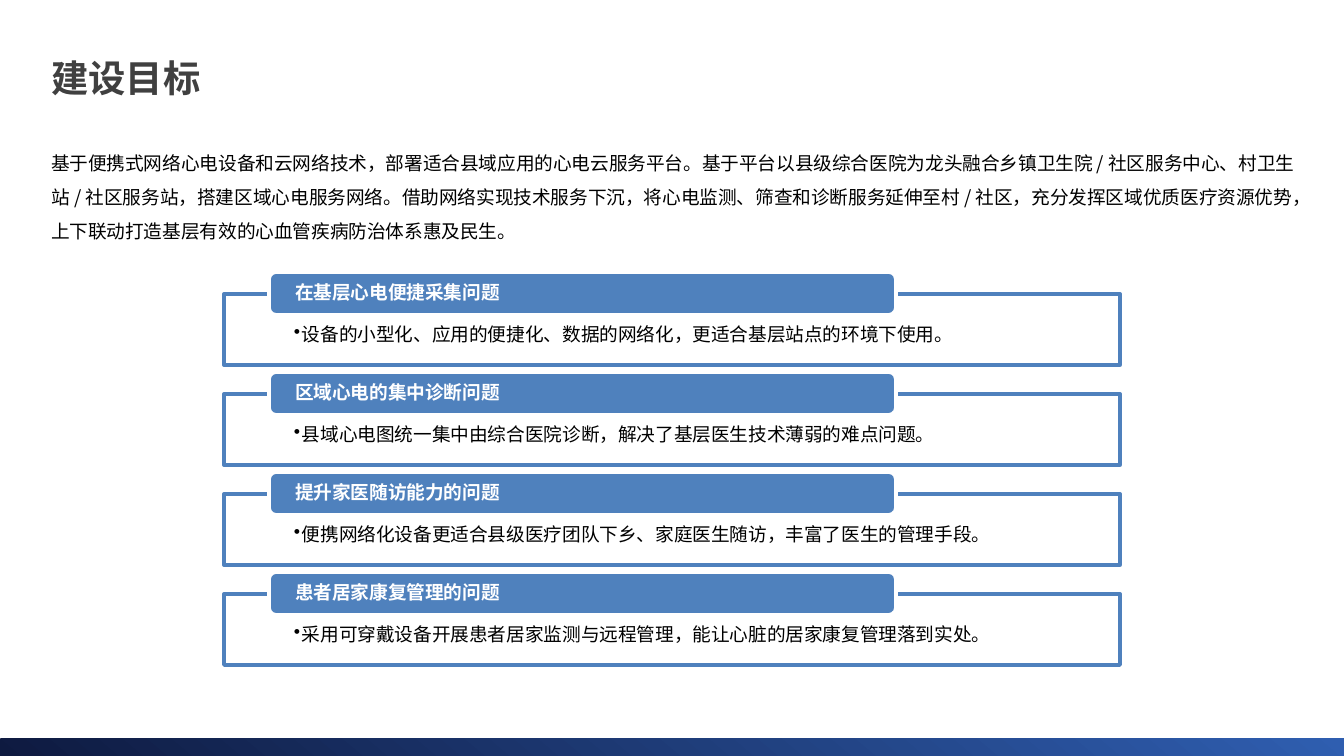
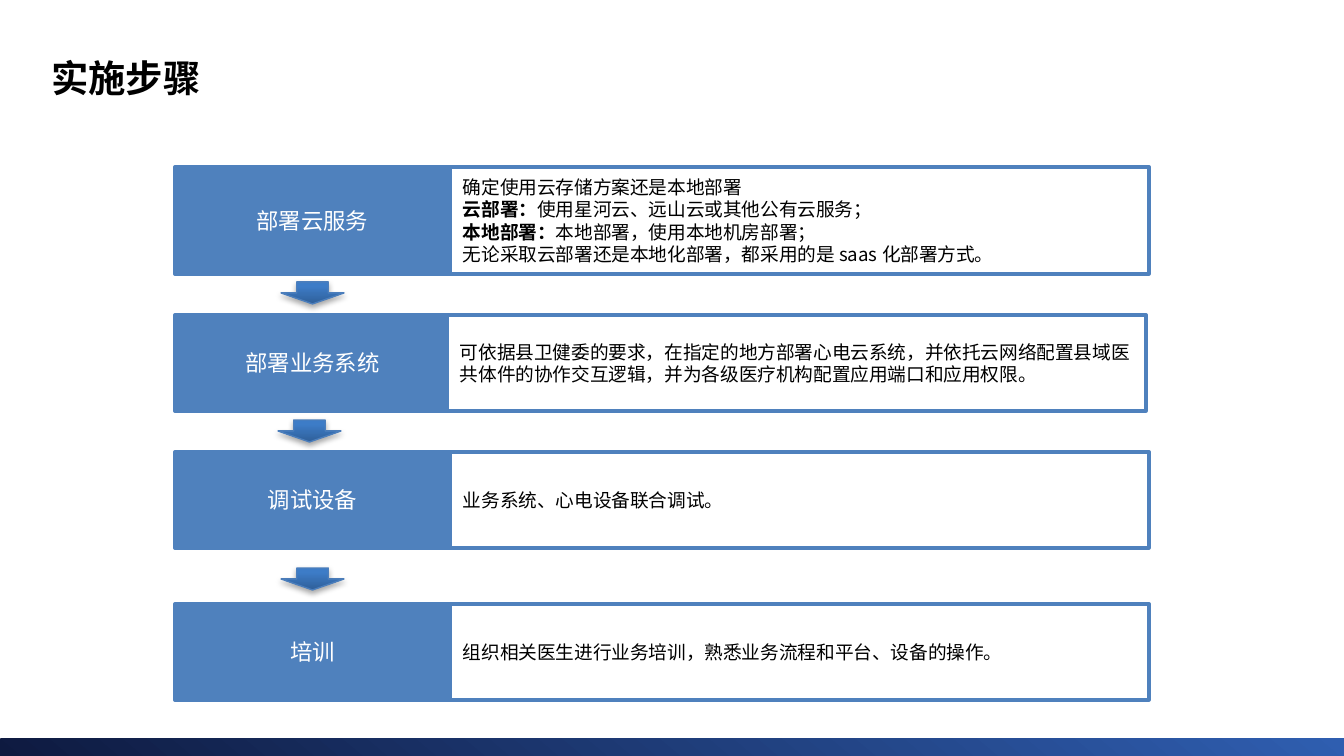
from lxml import etree
from pptx import Presentation
from pptx import util as u
from pptx.dml.color import RGBColor
from pptx.enum import shapes, text
from pptx.oxml import ns

PX = 914400 / 134.4
FONT = "Noto Sans CJK SC"
BLUE, WHITE, BLACK, DARK_GREY = "4F81BD", "FFFFFF", "000000", "404040"
BAND_START, BAND_END = "0E1A40", "2F5EB0"
ARROW_START, ARROW_END, ARROW_LINE = "2F5F99", "3D7CC7", "4B7EBC"

INTRO = (
    "基于便携式网络心电设备和云网络技术，部署适合县域应用的心电云服务平台。"
    "基于平台以县级综合医院为龙头融合乡镇卫生院/社区服务中心、村卫生站/社区服务站，"
    "搭建区域心电服务网络。借助网络实现技术服务下沉，"
    "将心电监测、筛查和诊断服务延伸至村/社区，充分发挥区域优质医疗资源优势，"
    "上下联动打造基层有效的心血管疾病防治体系惠及民生。"
)
GOALS = [
    ("在基层心电便捷采集问题",
     "设备的小型化、应用的便捷化、数据的网络化，更适合基层站点的环境下使用。"),
    ("区域心电的集中诊断问题",
     "县域心电图统一集中由综合医院诊断，解决了基层医生技术薄弱的难点问题。"),
    ("提升家医随访能力的问题",
     "便携网络化设备更适合县级医疗团队下乡、家庭医生随访，丰富了医生的管理手段。"),
    ("患者居家康复管理的问题",
     "采用可穿戴设备开展患者居家监测与远程管理，能让心脏的居家康复管理落到实处。"),
]
# label, top, height, shift of the detail box and arrow, arrow top, detail paragraphs
STEPS = [
    ("部署云服务", 167, 107, 0, 282, [
        "确定使用云存储方案还是本地部署",
        [("云部署：", True), ("使用星河云、远山云或其他公有云服务；", False)],
        [("本地部署：", True), ("本地部署，使用本地机房部署；", False)],
        "无论采取云部署还是本地化部署，都采用的是saas化部署方式。"]),
    ("部署业务系统", 315, 96, -3, 420, [
        "可依据县卫健委的要求，在指定的地方部署心电云系统，并依托云网络配置县域医共体件的"
        "协作交互逻辑，并为各级医疗机构配置应用端口和应用权限。"]),
    ("调试设备", 452, 96, 0, 568, ["业务系统、心电设备联合调试。"]),
    ("培训", 604, 96, 0, None,
     ["组织相关医生进行业务培训，熟悉业务流程和平台、设备的操作。"]),
]


def px(length):
    return u.Emu(round(length * PX))


def colour(value):
    return RGBColor.from_string(value)


def add_child(parent, tag, **attributes):
    child = etree.SubElement(parent, ns.qn(tag))
    for name, value in attributes.items():
        child.set(name, str(value))
    return child


def add_bullet(paragraph, indent):
    paragraph.level = 1
    properties = paragraph._p.get_or_add_pPr()
    properties.set("marL", str(px(indent)))
    properties.set("indent", str(-px(indent)))
    add_child(properties, "a:buChar", char="•")


def write(shape, paragraphs, size=10, ink=BLACK, bold=False, align=text.PP_ALIGN.LEFT,
          anchor=text.MSO_ANCHOR.MIDDLE, spacing=1.0, insets=(13, 7, 13, 7), bullet=0):
    """Fill a shape; a paragraph is a string or a list of (words, bold) runs."""
    frame = shape.text_frame
    frame.word_wrap = True
    frame.auto_size = text.MSO_AUTO_SIZE.NONE
    frame.vertical_anchor = anchor
    (frame.margin_left, frame.margin_top,
     frame.margin_right, frame.margin_bottom) = map(px, insets)
    for index, content in enumerate(paragraphs):
        paragraph = frame.add_paragraph() if index else frame.paragraphs[0]
        if bullet:
            add_bullet(paragraph, bullet)
        paragraph.alignment = align
        paragraph.line_spacing = spacing
        runs = [(content, bold)] if isinstance(content, str) else content
        for words, strong in runs:
            run = paragraph.add_run()
            run.text = words
            font = run.font
            font.size, font.bold, font.name = u.Pt(size), strong, FONT
            font.color.rgb = colour(ink)
            add_child(run._r.get_or_add_rPr(), "a:ea", typeface=FONT)


def add_box(slide, box, fill=None, line=None, width=2,
            kind=shapes.MSO_SHAPE.RECTANGLE):
    shape = slide.shapes.add_shape(kind, *map(px, box))
    shape.shadow.inherit = False
    if fill:
        shape.fill.solid()
        shape.fill.fore_color.rgb = colour(fill)
    if line:
        shape.line.color.rgb = colour(line)
        shape.line.width = u.Pt(width)
    else:
        shape.line.fill.background()
    return shape


def fill_gradient(shape, start, end, angle, end_position=1.0):
    shape.fill.gradient()
    shape.fill.gradient_angle = angle
    stops = shape.fill.gradient_stops
    for stop, value, position in zip(stops, (start, end), (0, end_position)):
        stop.color.rgb = colour(value)
        stop.position = position


def add_arrow(slide, left, top):
    arrow = add_box(slide, (left, top, 63, 22), line=ARROW_LINE, width=0.75,
                    kind=shapes.MSO_SHAPE.DOWN_ARROW)
    fill_gradient(arrow, ARROW_START, ARROW_END, 90, 0.8)
    effects = arrow.element.spPr.find(ns.qn("a:effectLst"))
    shadow = add_child(effects, "a:outerShdw", blurRad=u.Pt(3.1), dist=u.Pt(1.8),
                       dir=5400000, rotWithShape=0)
    add_child(add_child(shadow, "a:srgbClr", val=BLACK), "a:alpha", val=35000)


def add_slide(deck, title, ink):
    slide = deck.slides.add_slide(deck.slide_layouts[5])
    heading = slide.shapes.title
    heading.left, heading.top, heading.width, heading.height = map(px, (38, 1, 984, 106))
    write(heading, [title], size=20, ink=ink, bold=True, anchor=text.MSO_ANCHOR.BOTTOM)
    return slide


def move_band_to_master(deck, slide):
    """Draw the footer band, then let every slide inherit it from the master."""
    band = add_box(slide, (0, 739, 1344, 20))
    fill_gradient(band, BAND_START, BAND_END, 50)
    deck.slide_master.shapes.element.insert(2, band.element)


def add_goal(slide, top, name, detail):
    frame = add_box(slide, (224, top, 896, 71), WHITE, BLUE)
    write(frame, [detail], anchor=text.MSO_ANCHOR.TOP, spacing=0.9,
          insets=(70, 31, 70, 11), bullet=8)
    header = add_box(slide, (269, top - 22, 627, 43), BLUE, WHITE,
                     kind=shapes.MSO_SHAPE.ROUNDED_RECTANGLE)
    write(header, [name], ink=WHITE, bold=True, spacing=0.9, insets=(24, 0, 24, 0))


def add_step(slide, label, top, height, shift, arrow_top, details):
    name = add_box(slide, (175, top, 275, height), BLUE, BLUE)
    write(name, [label], size=12, ink=WHITE, align=text.PP_ALIGN.CENTER)
    detail = add_box(slide, (450 + shift, top, 699, height), WHITE, BLUE)
    write(detail, details)
    if arrow_top:
        add_arrow(slide, 281 + shift, arrow_top)


def main():
    deck = Presentation()
    deck.slide_width, deck.slide_height = px(1344), px(756)

    goals = add_slide(deck, "建设目标", DARK_GREY)
    move_band_to_master(deck, goals)
    intro = goals.shapes.add_textbox(*map(px, (38, 134, 1281, 116)))
    write(intro, [INTRO], anchor=text.MSO_ANCHOR.TOP, spacing=1.5)
    for index, (name, detail) in enumerate(GOALS):
        add_goal(goals, 294 + 100 * index, name, detail)

    steps = add_slide(deck, "实施步骤", BLACK)
    for step in STEPS:
        add_step(steps, *step)

    deck.save("out.pptx")


if __name__ == "__main__":
    main()
